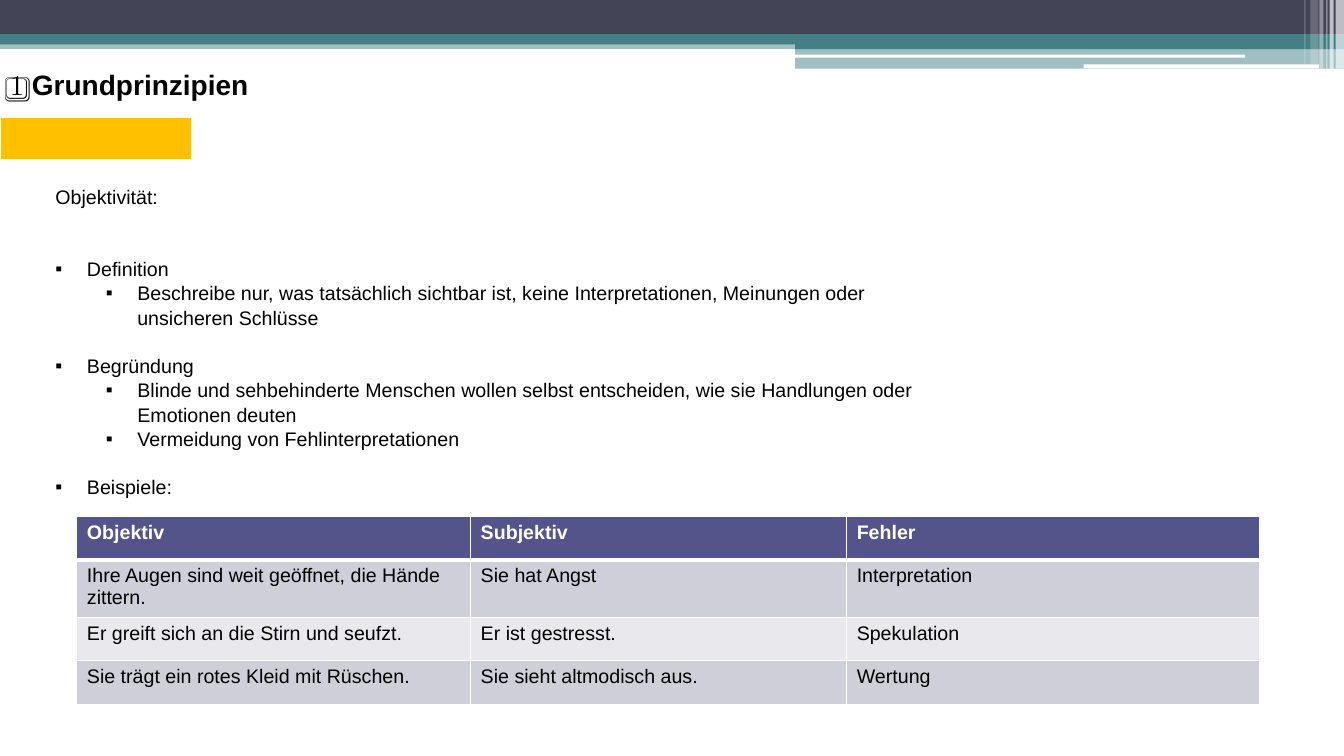
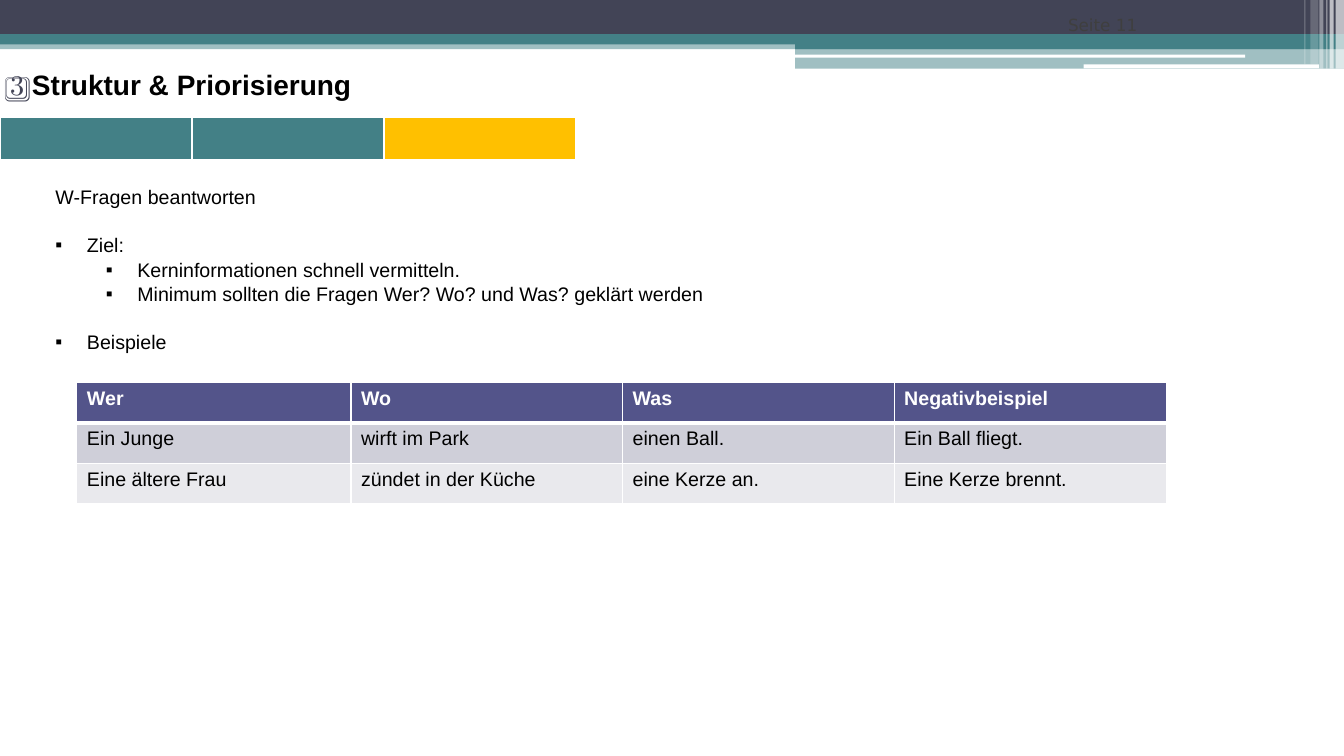
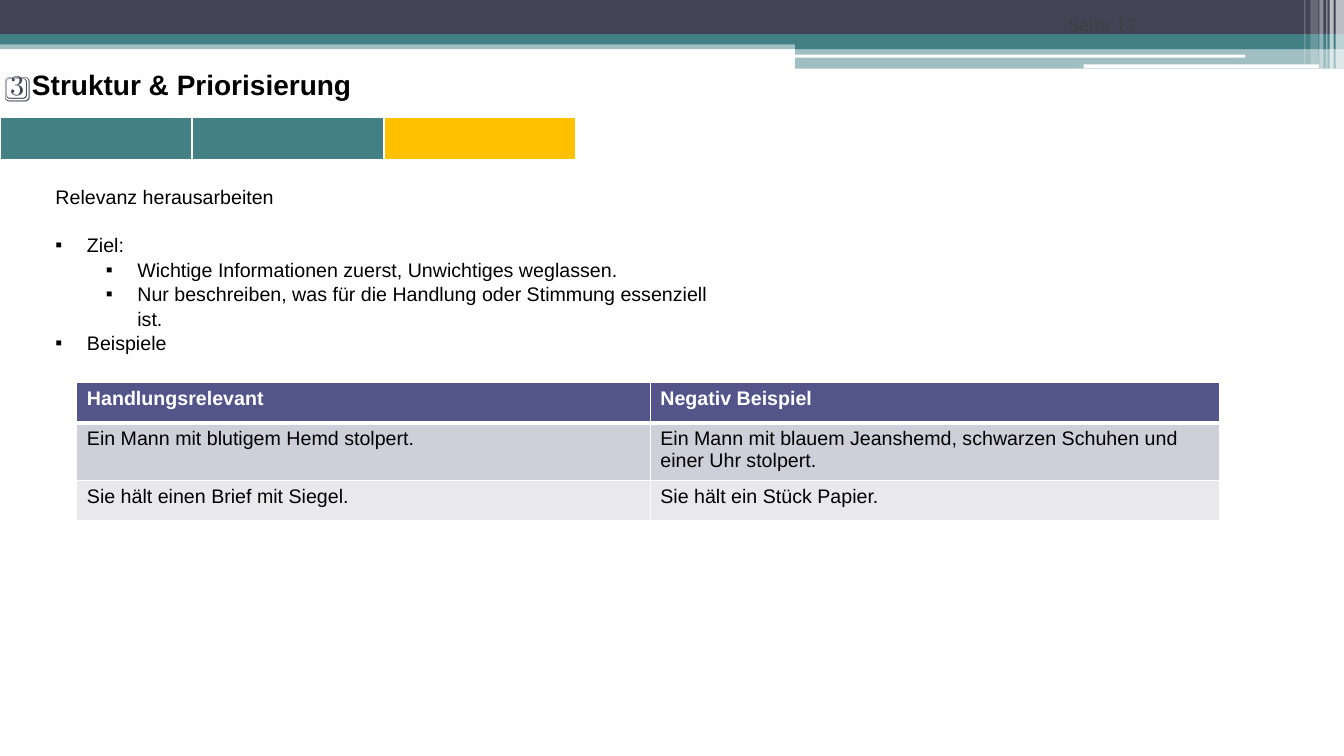
from lxml.etree import SubElement
from pptx import Presentation
from pptx.dml.color import RGBColor
from pptx.enum.shapes import MSO_SHAPE
from pptx.enum.text import MSO_ANCHOR, MSO_AUTO_SIZE, PP_ALIGN
from pptx.oxml.ns import qn
from pptx.util import Pt

BLACK = RGBColor(0x00, 0x00, 0x00)
WHITE = RGBColor(0xFF, 0xFF, 0xFF)
SLATE = RGBColor(0x42, 0x44, 0x56)
TEAL = RGBColor(0x43, 0x80, 0x86)
AMBER = RGBColor(0xFF, 0xC0, 0x00)
INDIGO = RGBColor(0x53, 0x54, 0x8A)
ROW_DARK = RGBColor(0xCF, 0xCF, 0xD9)
ROW_LIGHT = RGBColor(0xE9, 0xE9, 0xED)
GREY = RGBColor(0x3F, 0x3F, 0x3F)

WIDTH, HEIGHT = 960, 540
STEPS = 7
LINE = 16.8  # height of one line of body text

# Header bands: left, top, width, height, colour, opacity in percent
BANDS = [
    (0, 28.8, WIDTH, 6.4, TEAL, 50),
    (0, 0, WIDTH, 24.5, SLATE, 100),
    (0, 24.5, WIDTH, 7.2, TEAL, 100),
    (568, 28, 392, 7.2, TEAL, 100),
    (568, 35, 392, 14, TEAL, 50),
    (567.5, 39, 322, 2.2, WHITE, 100),
    (774, 46, 168, 2.9, WHITE, 100),
]
# Light stripes at the right end: left, width, height, opacity in percent
STRIPES = [
    (954, 6, 49, 65), (949.7, 2.9, 49, 65), (947.5, 0.7, 49, 60),
    (942.5, 2.9, 49, 40), (936, 5.8, 46, 20), (931.7, 0.7, 46, 30),
]


def frame(left, top, width, height):
    return Pt(left), Pt(top), Pt(width), Pt(height)


class Deck:
    """The shared style and the current page."""

    def __init__(self):
        self.show = Presentation()
        self.show.slide_width, self.show.slide_height = Pt(WIDTH), Pt(HEIGHT)
        self.layout = self.show.slide_layouts[1]
        self.page = None
        # Date, footer and number are not used
        for holder in list(self.layout.placeholders):
            if holder.placeholder_format.idx >= 10:
                self.layout.shapes.element.remove(holder.element)

    def add_page(self):
        first = self.page is None
        self.page = self.show.slides.add_slide(self.layout)
        if first:
            self.header()

    def header(self):
        """Draw the bands once and hand them to the layout."""
        stripes = [(left, 0, width, height, WHITE, opacity)
                   for left, width, height, opacity in STRIPES]
        bands = [self.band(*values) for values in BANDS + stripes]
        for band in bands:
            self.layout.shapes.element.append(band.element)

    def band(self, left, top, width, height, colour, opacity):
        band = self.page.shapes.add_shape(
            MSO_SHAPE.RECTANGLE, *frame(left, top, width, height))
        band.shadow.inherit = False
        band.fill.solid()
        band.fill.fore_color.rgb = colour
        band.line.fill.background()
        if opacity < 100:
            tint = band.element.spPr.find(".//" + qn("a:srgbClr"))
            SubElement(tint, qn("a:alpha"), val=str(opacity * 1000))
        return band

    def style(self, span, size, colour, bold=False, name="Arial"):
        font = span.font
        font.name, font.size, font.bold = name, Pt(size), bold
        font.color.rgb = colour

    def place(self, box, left, top, width, height, anchor):
        box.left, box.top, box.width, box.height = frame(left, top, width, height)
        text = box.text_frame
        text.word_wrap = True
        text.auto_size = MSO_AUTO_SIZE.NONE
        text.vertical_anchor = anchor
        return text

    def title(self, number, heading, number_colour, number_bold):
        text = self.place(self.page.shapes.title, 0, 37.5, WIDTH, 45,
                          MSO_ANCHOR.MIDDLE)
        para = text.paragraphs[0]
        para.alignment = PP_ALIGN.LEFT
        for words, colour, bold in ((number + " ", number_colour, number_bold),
                                    (heading, BLACK, True)):
            span = para.add_run()
            span.text = words
            self.style(span, 20, colour, bold)

    def page_number(self, words):
        box = self.page.shapes.add_textbox(*frame(695.5, 0, 124, 28.8))
        text = self.place(box, 695.5, 0, 124, 28.8, MSO_ANCHOR.BOTTOM)
        text.text = words
        para = text.paragraphs[0]
        para.alignment = PP_ALIGN.RIGHT
        self.style(para.runs[0], 12, GREY, name="DejaVu Sans")

    def body(self, width, height, items):
        """Items hold level (0 is the plain lead), blank lines before, words."""
        text = self.place(self.page.placeholders[1], 32.4, 128, width, height,
                          MSO_ANCHOR.TOP)
        for index, (level, gap, words) in enumerate(items):
            para = text.paragraphs[0] if index == 0 else text.add_paragraph()
            para.text = words
            para.level = max(level - 1, 0)
            self.bullet(para, level)
            para.line_spacing = 1.04
            para.space_before = Pt(gap * LINE)
            para.space_after = Pt(0)
            self.style(para.runs[0], 14, BLACK)

    def bullet(self, para, level):
        props = para._p.get_or_add_pPr()
        indent = Pt(22.5) if level else 0
        props.set("marL", str(indent + Pt(36) * max(level - 1, 0)))
        props.set("indent", str(-indent))
        if level:
            colour = SubElement(props, qn("a:buClr"))
            SubElement(colour, qn("a:srgbClr"), val=str(BLACK))
            SubElement(props, qn("a:buFont"), typeface="Arial")
            SubElement(props, qn("a:buChar"), char="▪")
        else:
            SubElement(props, qn("a:buNone"))

    def grid(self, left, top, columns, rows):
        """Add a table of the given column widths and row heights."""
        table = self.page.shapes.add_table(
            len(rows), len(columns),
            *frame(left, top, sum(columns), sum(rows))).table
        for column, width in zip(table.columns, columns):
            column.width = Pt(width)
        for row, height in zip(table.rows, rows):
            row.height = Pt(height)
        return table

    def paint(self, cell, colour, top=1, bottom=1):
        """Fill a cell and give it white borders."""
        cell.fill.solid()
        cell.fill.fore_color.rgb = colour
        props = cell._tc.get_or_add_tcPr()
        sides = (("a:lnL", 1), ("a:lnR", 1), ("a:lnT", top), ("a:lnB", bottom))
        for index, (side, width) in enumerate(sides):
            line = SubElement(props, qn(side), w=str(Pt(width)))
            fill = SubElement(line, qn("a:solidFill"))
            SubElement(fill, qn("a:srgbClr"), val=str(WHITE))
            props.insert(index, line)

    def progress(self, step):
        """Show the current step in amber after the finished ones in teal."""
        table = self.grid(0, 83.5, [WIDTH / STEPS] * STEPS, [31.5])
        colours = [TEAL] * (step - 1) + [AMBER] + [WHITE] * (STEPS - step)
        for cell, colour in zip(table.iter_cells(), colours):
            self.paint(cell, colour, bottom=3)

    def examples(self, top, columns, rows, content):
        table = self.grid(54.9, top, columns, rows)
        for r, line in enumerate(content):
            fill = INDIGO if r == 0 else ROW_DARK if r % 2 else ROW_LIGHT
            for c, words in enumerate(line):
                cell = table.cell(r, c)
                self.paint(cell, fill, top=3 if r == 1 else 1,
                           bottom=3 if r == 0 else 1)
                cell.text_frame.text = words
                self.style(cell.text_frame.paragraphs[0].runs[0], 14,
                           BLACK if r else WHITE, bold=r == 0)


def principles(deck):
    deck.add_page()
    deck.title("1️⃣", "Grundprinzipien", BLACK, True)
    deck.progress(1)
    deck.body(629, 228, [
        (0, 0, "Objektivität:"),
        (1, 2, "Definition"),
        (2, 0, "Beschreibe nur, was tatsächlich sichtbar ist, keine "
               "Interpretationen, Meinungen oder unsicheren Schlüsse"),
        (1, 1, "Begründung"),
        (2, 0, "Blinde und sehbehinderte Menschen wollen selbst entscheiden, "
               "wie sie Handlungen oder Emotionen deuten"),
        (2, 0, "Vermeidung von Fehlinterpretationen"),
        (1, 1, "Beispiele:"),
    ])
    deck.examples(369, [281.3, 268.6, 294.7], [31, 41, 31, 31], [
        ("Objektiv", "Subjektiv", "Fehler"),
        ("Ihre Augen sind weit geöffnet, die Hände zittern.",
         "Sie hat Angst", "Interpretation"),
        ("Er greift sich an die Stirn und seufzt.",
         "Er ist gestresst.", "Spekulation"),
        ("Sie trägt ein rotes Kleid mit Rüschen.",
         "Sie sieht altmodisch aus.", "Wertung"),
    ])


def structure(deck, number, items, columns, rows, content):
    """Build one page of the third step."""
    deck.add_page()
    deck.page_number(number)
    deck.progress(3)
    deck.title("3️⃣", "Struktur & Priorisierung", SLATE, False)
    deck.body(488, 126, items)
    deck.examples(273, columns, rows, content)


def main():
    deck = Deck()
    principles(deck)

    # Questions to answer
    structure(deck, "Seite 11", [
        (0, 0, "W-Fragen beantworten"),
        (1, 1, "Ziel:"),
        (2, 0, "Kerninformationen schnell vermitteln."),
        (2, 0, "Minimum sollten die Fragen Wer? Wo? und Was? geklärt werden"),
        (1, 1, "Beispiele"),
    ], [195.8, 194, 194, 194.4], [29, 29, 29], [
        ("Wer", "Wo", "Was", "Negativbeispiel"),
        ("Ein Junge", "wirft im Park", "einen Ball.", "Ein Ball fliegt."),
        ("Eine ältere Frau", "zündet in der Küche", "eine Kerze an.",
         "Eine Kerze brennt."),
    ])

    # Relevance
    structure(deck, "Seite 12", [
        (0, 0, "Relevanz herausarbeiten"),
        (1, 1, "Ziel:"),
        (2, 0, "Wichtige Informationen zuerst, Unwichtiges weglassen."),
        (2, 0, "Nur beschreiben, was für die Handlung oder Stimmung "
               "essenziell ist."),
        (1, 0, "Beispiele"),
    ], [409.6, 406.8], [29, 41, 29], [
        ("Handlungsrelevant", "Negativ Beispiel"),
        ("Ein Mann mit blutigem Hemd stolpert.",
         "Ein Mann mit blauem Jeanshemd, schwarzen Schuhen und einer Uhr "
         "stolpert."),
        ("Sie hält einen Brief mit Siegel.", "Sie hält ein Stück Papier."),
    ])
    deck.show.save("out.pptx")


if __name__ == "__main__":
    main()
